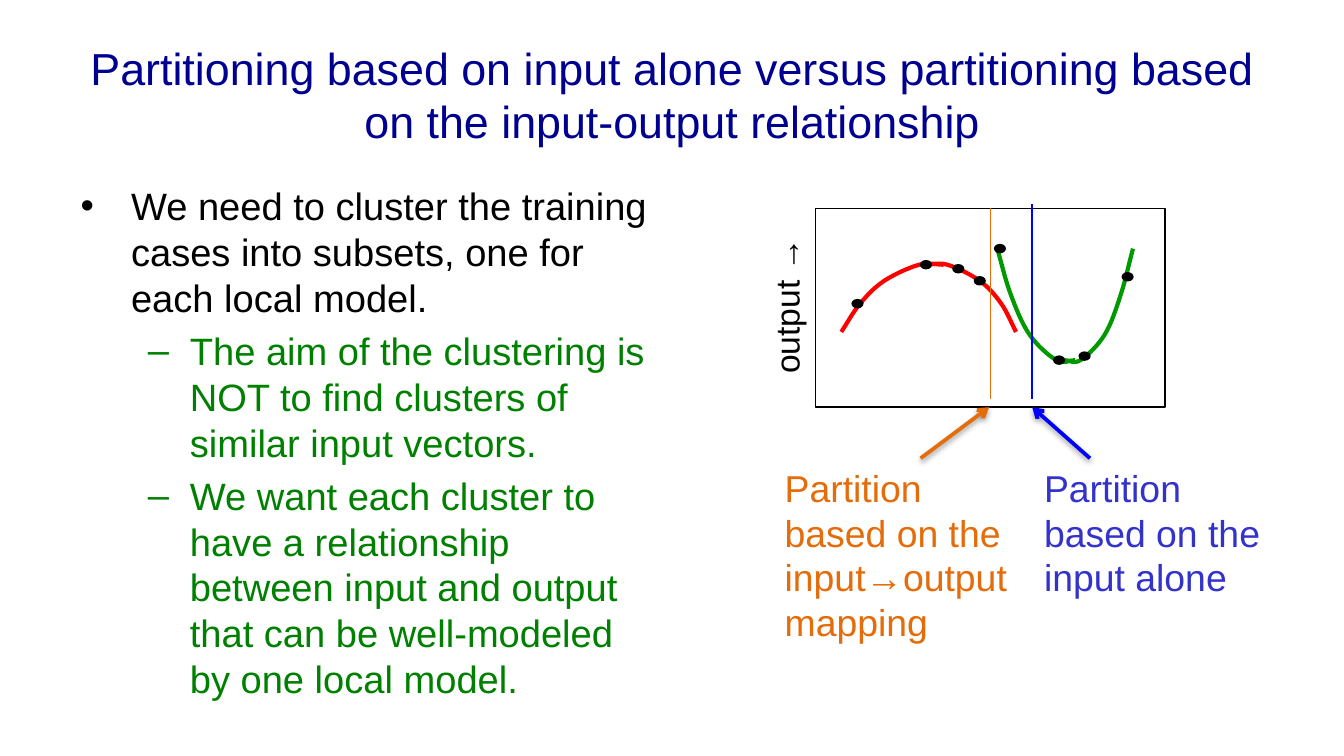
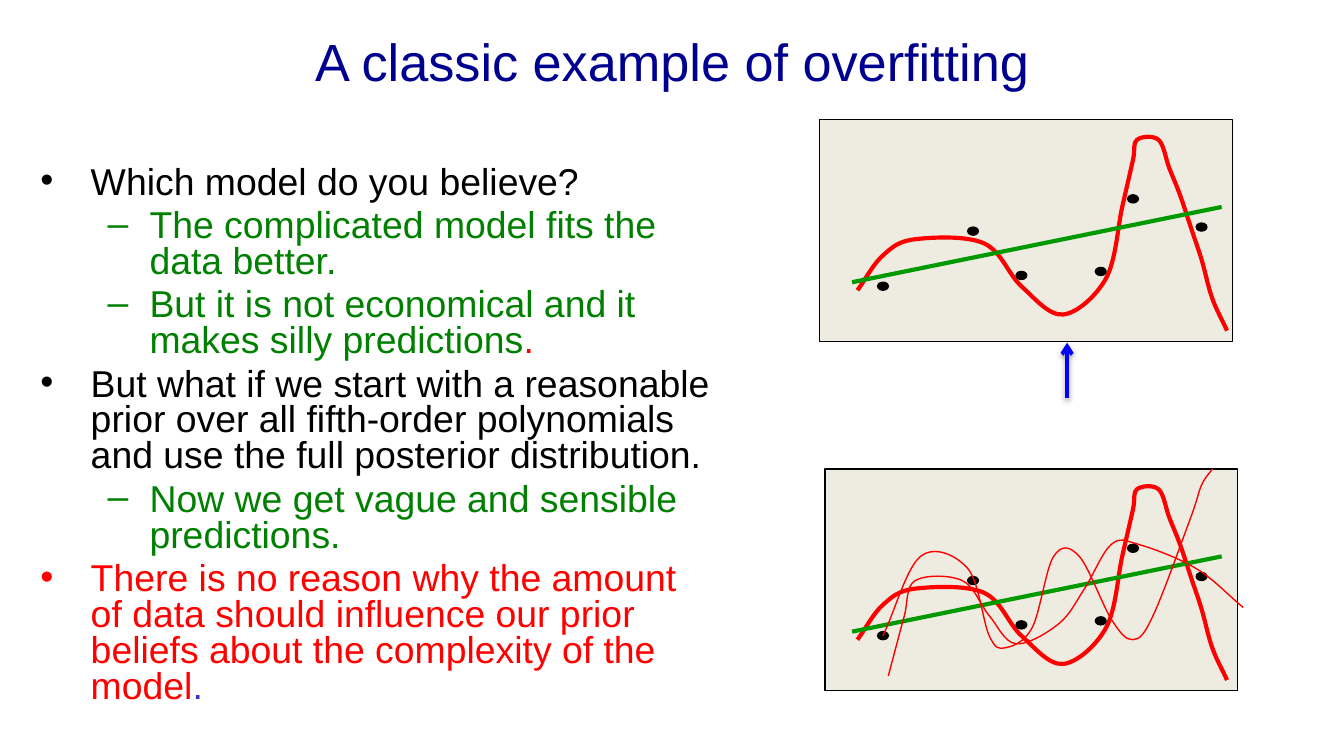
from lxml import etree
from pptx import Presentation
from pptx.dml.color import RGBColor
from pptx.enum.shapes import MSO_CONNECTOR, MSO_SHAPE
from pptx.enum.text import MSO_ANCHOR, MSO_AUTO_SIZE, PP_ALIGN
from pptx.oxml.ns import qn
from pptx.util import Inches, Pt

STRAIGHT = MSO_CONNECTOR.STRAIGHT
RECTANGLE, OVAL = MSO_SHAPE.RECTANGLE, MSO_SHAPE.OVAL
MIDDLE, CENTER = MSO_ANCHOR.MIDDLE, PP_ALIGN.CENTER
NO_AUTOFIT = MSO_AUTO_SIZE.NONE

BLACK = RGBColor(0x00, 0x00, 0x00)
NAVY = RGBColor(0x00, 0x00, 0x90)
TEXT_GREEN = RGBColor(0x00, 0x80, 0x00)
CURVE_GREEN = RGBColor(0x00, 0x99, 0x00)
RED = RGBColor(0xFF, 0x00, 0x00)
ORANGE = RGBColor(0xE4, 0x6C, 0x0A)
BLUE = RGBColor(0x00, 0x00, 0xFF)
SOFT_BLUE = RGBColor(0x33, 0x33, 0xCC)
BEIGE = RGBColor(0xEE, 0xEC, 0xE1)

SLIDE_WIDTH = Inches(10)
SLIDE_HEIGHT = SLIDE_WIDTH * 9 // 16
FONT = "Arial"
THIN, THICK, ARROW = 0.75, 2.25, 2
DOT_WIDTH, DOT_HEIGHT = 0.08, 0.06


def smooth_outline(shape):
    """Turn the straight segments of a freeform into a curve through its points."""
    path = shape.element.find(".//" + qn("a:path"))
    points = [(int(point.get("x")), int(point.get("y")))
              for point in path.iter(qn("a:pt"))]
    for segment in path.findall(qn("a:lnTo")):
        path.remove(segment)

    def beyond(end, neighbour):
        return tuple(2 * a - b for a, b in zip(end, neighbour))

    padded = [beyond(points[0], points[1]), *points, beyond(points[-1], points[-2])]
    for before, start, end, after in zip(padded, padded[1:], padded[2:], padded[3:]):
        first = [s + (e - b) / 6 for b, s, e in zip(before, start, end)]
        second = [e - (a - s) / 6 for s, e, a in zip(start, end, after)]
        curve = etree.SubElement(path, qn("a:cubicBezTo"))
        for x, y in (first, second, end):
            etree.SubElement(curve, qn("a:pt"), x=str(round(x)), y=str(round(y)))


class Deck:
    def __init__(self):
        self.presentation = Presentation()
        self.presentation.slide_width = SLIDE_WIDTH
        self.presentation.slide_height = SLIDE_HEIGHT
        self.slide = None

    def add_slide(self):
        layout = self.presentation.slide_layouts[1]
        self.slide = self.presentation.slides.add_slide(layout)

    def place(self, shape, left, top, width, height):
        shape.left, shape.top = Inches(left), Inches(top)
        shape.width, shape.height = Inches(width), Inches(height)

    def format_run(self, run, size, color):
        run.font.name = FONT
        run.font.size = Pt(size)
        run.font.color.rgb = color

    def title(self, text, top, size):
        shape = self.slide.shapes.title
        self.place(shape, 0.5, top, 9, 0.94)
        frame = shape.text_frame
        frame.text = text
        frame.auto_size = NO_AUTOFIT
        frame.vertical_anchor = MIDDLE
        frame.paragraphs[0].alignment = CENTER
        self.format_run(frame.paragraphs[0].runs[0], size, NAVY)

    def bullets(self, items, box, size, line_spacing=None):
        """Fill the body with items given as a level and (text, colour) pairs."""
        shape = self.slide.placeholders[1]
        self.place(shape, *box)
        frame = shape.text_frame
        frame.auto_size = NO_AUTOFIT
        for index, (level, *pieces) in enumerate(items):
            paragraph = frame.add_paragraph() if index else frame.paragraphs[0]
            paragraph.level = level
            paragraph.line_spacing = line_spacing
            if index == 0:
                paragraph.space_before = Pt(0)
            for text, color in pieces:
                run = paragraph.add_run()
                run.text = text
                self.format_run(run, size, color)

    def label(self, text, box, size, color, rotation=0):
        shape = self.slide.shapes.add_textbox(*map(Inches, box))
        shape.rotation = rotation
        shape.text_frame.word_wrap = True
        shape.text_frame.text = text
        self.format_run(shape.text_frame.paragraphs[0].runs[0], size, color)

    def preset(self, kind, box, fill=None):
        shape = self.slide.shapes.add_shape(kind, *map(Inches, box))
        shape.shadow.inherit = False
        if fill is None:
            shape.fill.background()
        else:
            shape.fill.solid()
            shape.fill.fore_color.rgb = fill
        shape.line.color.rgb = BLACK
        shape.line.width = Pt(THIN)

    def dots(self, positions, shift=0):
        for left, top in positions:
            self.preset(OVAL, (left, top + shift, DOT_WIDTH, DOT_HEIGHT), BLACK)

    def curve(self, points, color, width, shift=0):
        corners = [(Inches(x), Inches(y + shift)) for x, y in points]
        builder = self.slide.shapes.build_freeform(*corners[0])
        builder.add_line_segments(corners[1:], close=False)
        shape = builder.convert_to_shape()
        smooth_outline(shape)
        shape.shadow.inherit = False
        shape.fill.background()
        shape.line.color.rgb = color
        shape.line.width = Pt(width)

    def line(self, start, end, color, width):
        """Draw a plain line and return the effect list of its properties."""
        connector = self.slide.shapes.add_connector(
            STRAIGHT, *map(Inches, (*start, *end)))
        connector.line.color.rgb = color
        connector.line.width = Pt(width)
        properties = connector.element.spPr
        return etree.SubElement(properties, qn("a:effectLst"))

    def arrow(self, start, end, color):
        effects = self.line(start, end, color, ARROW)
        outline = effects.getparent().find(qn("a:ln"))
        etree.SubElement(outline, qn("a:tailEnd"), type="arrow")
        shadow = etree.SubElement(
            effects, qn("a:outerShdw"), blurRad=str(Pt(3.1)), dist=str(Pt(1.6)),
            dir=str(90 * 60000), rotWithShape="0")
        shade = etree.SubElement(shadow, qn("a:srgbClr"), val=str(BLACK))
        etree.SubElement(shade, qn("a:alpha"), val="38000")


def partitioning_slide(deck):
    deck.add_slide()
    deck.preset(RECTANGLE, (6.07, 1.55, 2.6, 1.48))
    deck.title("Partitioning based on input alone versus partitioning based "
               "on the input-output relationship", 0.23, 24)
    deck.bullets([
        (0, ("We need to cluster the training cases into subsets, one for each "
             "local model.", BLACK)),
        (1, ("The aim of the clustering is NOT to find clusters of similar input "
             "vectors.", TEXT_GREEN)),
        (1, ("We want each cluster to have a relationship between input and output "
             "that can be well-modeled by one local model.", TEXT_GREEN)),
    ], (0.5, 1.31, 4.42, 3.71), 20.4)

    half_curves = [
        (RED, [(6.26, 2.47), (6.4, 2.26), (6.58, 2.09), (6.84, 1.97), (7.02, 1.97)]),
        (RED, [(7.56, 2.47), (7.45, 2.26), (7.29, 2.09), (7.05, 1.97), (6.89, 1.97)]),
        (CURVE_GREEN,
         [(7.42, 1.85), (7.52, 2.19), (7.66, 2.49), (7.86, 2.68), (8, 2.68)]),
        (CURVE_GREEN,
         [(8.43, 1.85), (8.34, 2.19), (8.22, 2.49), (8.04, 2.68), (7.92, 2.68)]),
    ]
    for color, points in half_curves:
        deck.curve(points, color, THICK)
    deck.dots([(7.4, 1.82), (7.84, 2.65), (8.03, 2.62), (8.35, 2.03),
               (6.34, 2.23), (6.85, 1.94), (7.09, 1.97), (7.25, 2.06)])

    deck.line((7.37, 1.55), (7.37, 2.97), ORANGE, THIN)
    deck.line((7.68, 1.52), (7.68, 2.97), BLUE, THIN)
    deck.label("Partition based on the input→output mapping",
               (5.74, 3.41, 1.94, 1.45), 20, ORANGE)
    deck.label("Partition based on the input alone",
               (7.67, 3.41, 1.94, 1.11), 20, SOFT_BLUE)
    deck.arrow((8.11, 3.41), (7.68, 3.03), BLUE)
    deck.arrow((6.85, 3.41), (7.36, 3.03), ORANGE)
    deck.label("output →", (4.72, 1.55, 2.26, 0.4), 18, BLACK, rotation=270)


def fitted_models(deck, left, top, shift):
    """Draw the plot with the complicated model, the straight one and the data."""
    deck.preset(RECTANGLE, (left, top + shift, 3.07, 1.65), BEIGE)
    deck.curve([
        (6.38, 2.16), (6.57, 1.9), (6.81, 1.78), (7.32, 1.81), (7.6, 2.13),
        (7.91, 2.34), (8.23, 2.07), (8.35, 1.54), (8.43, 1.19), (8.46, 1.04),
        (8.62, 1.04), (8.7, 1.25), (8.78, 1.45), (8.86, 1.69), (8.94, 1.93),
        (9.02, 2.22), (9.13, 2.46),
    ], RED, THICK, shift)
    deck.line((6.34, 2.1 + shift), (9.09, 1.54 + shift), CURVE_GREEN, THICK)
    deck.dots([(6.53, 2.1), (7.2, 1.69), (7.56, 2.02), (8.15, 1.99),
               (8.39, 1.45), (8.9, 1.66)], shift)


def overfitting_slide(deck):
    deck.add_slide()
    deck.title("A classic example of overfitting", -0.02, 28)
    deck.bullets([
        (0, ("Which model do you believe?", BLACK)),
        (1, ("The complicated model fits the data better.", TEXT_GREEN)),
        (1, ("But it is not economical and it makes silly predictions", TEXT_GREEN),
            (".", RED)),
        (0, ("But what if we start with a reasonable prior over all fifth-order "
             "polynomials and use the full posterior distribution.", BLACK)),
        (1, ("Now we get vague and sensible predictions.", TEXT_GREEN)),
        (0, ("There is no reason why the amount of data should influence our prior "
             "beliefs about the complexity of the model", RED), (".", SOFT_BLUE)),
    ], (0.2, 1.19, 5.24, 4.43), 20, line_spacing=0.8)

    fitted_models(deck, 6.1, 0.89, 0)
    fitted_models(deck, 6.14, 0.89, 2.6)
    deck.curve([
        (6.57, 4.73), (6.85, 4.14), (7.2, 4.23), (7.36, 4.73), (7.48, 4.82),
        (7.68, 4.67), (7.84, 4.14), (8.03, 4.14), (8.27, 4.61), (8.43, 4.76),
        (8.58, 4.58), (8.86, 3.85), (8.94, 3.61), (9.02, 3.49),
    ], RED, THIN)
    deck.curve([
        (9.25, 4.52), (8.9, 4.23), (8.47, 4.05), (8.27, 4.05), (8.07, 4.38),
        (7.88, 4.64), (7.56, 4.79), (7.36, 4.58), (7.16, 4.32), (6.81, 4.32),
        (6.73, 4.58), (6.65, 4.88), (6.61, 5.03),
    ], RED, THIN)
    deck.arrow((7.94, 2.96), (7.94, 2.55), BLUE)


def main():
    deck = Deck()
    partitioning_slide(deck)
    overfitting_slide(deck)
    deck.presentation.save("out.pptx")


if __name__ == "__main__":
    main()
